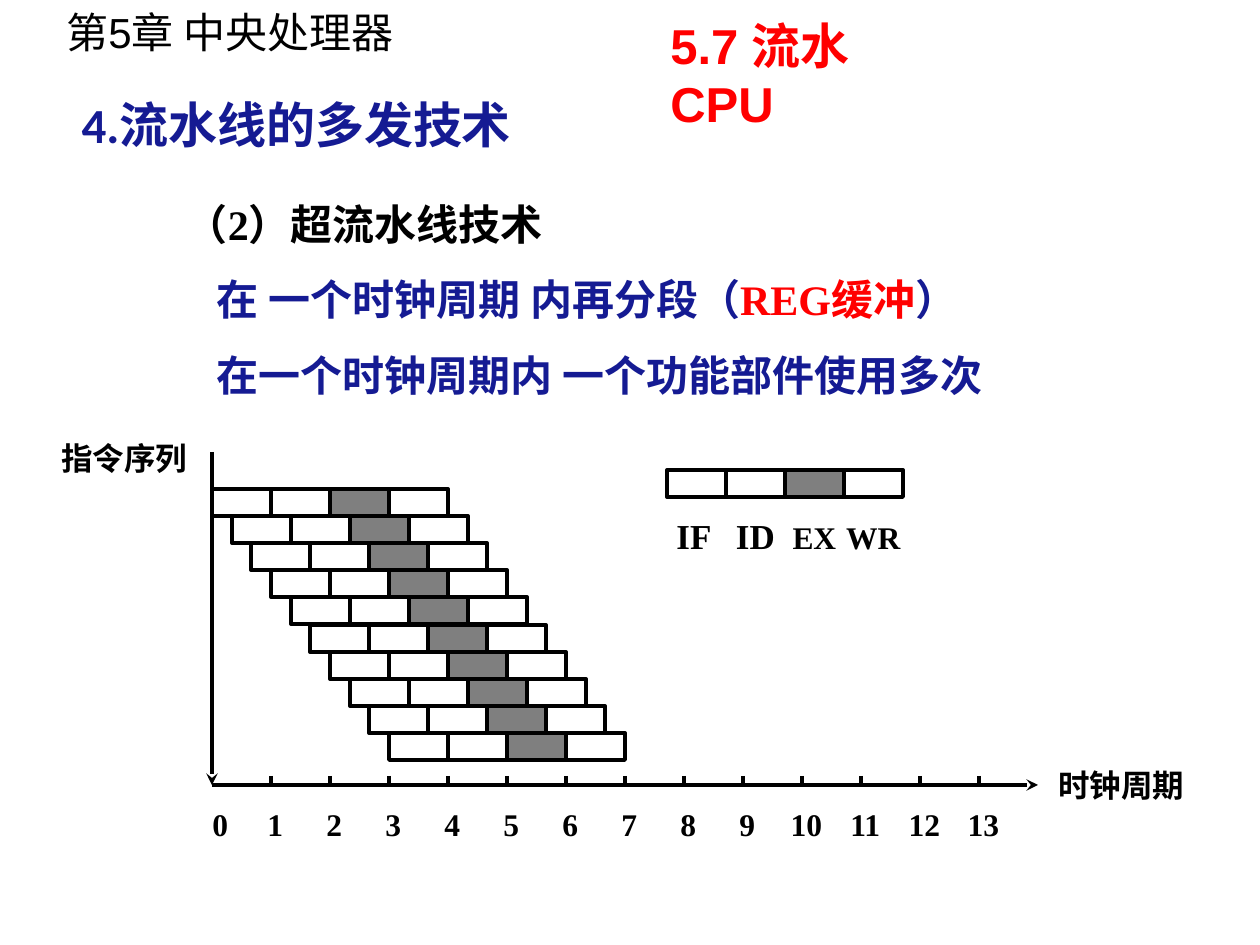
"""Build the slide on superpipelining, with its instruction timing chart."""
from lxml.etree import SubElement
from pptx import Presentation
from pptx.dml.color import RGBColor
from pptx.enum.shapes import MSO_CONNECTOR, MSO_SHAPE
from pptx.enum.text import MSO_ANCHOR, MSO_AUTO_SIZE, PP_ALIGN
from pptx.oxml.ns import qn
from pptx.util import Inches, Pt

STRAIGHT = MSO_CONNECTOR.STRAIGHT
RECTANGLE = MSO_SHAPE.RECTANGLE
TOP, MIDDLE = MSO_ANCHOR.TOP, MSO_ANCHOR.MIDDLE
LEFT = PP_ALIGN.LEFT
NO_AUTOFIT = MSO_AUTO_SIZE.NONE

PX = 7257
THEME = {
    "black": RGBColor(0x00, 0x00, 0x00),
    "red": RGBColor(0xFF, 0x00, 0x00),
    "blue": RGBColor(0x15, 0x1B, 0x93),
    "heading": Pt(28),
    "text": Pt(24),
    "stage": Pt(20),
    "label": Pt(18),
    "line": Pt(2.25),
}
SERIF = "Times New Roman"

ORIGIN_X, AXIS_Y = 212, 785
CYCLE = 59
STAGE_HEIGHT = 27
INSTRUCTIONS = 10
FIRST_ROW, LAST_ROW = 489, 733
CYCLES = 13

prs = Presentation()
prs.slide_width, prs.slide_height = Inches(10), Inches(7.5)
slide = prs.slides.add_slide(prs.slide_layouts[1])
shapes = slide.shapes


def add_label(text, left, top, width, height, size="label", face=SERIF,
              color="black", bold=True, tabs=()):
    box = shapes.add_textbox(left * PX, top * PX, width * PX, height * PX)
    box.text_frame.word_wrap = True
    paragraph = box.text_frame.paragraphs[0]
    if tabs:
        stops = SubElement(paragraph._p.get_or_add_pPr(), qn("a:tabLst"))
        for stop in tabs:
            SubElement(stops, qn("a:tab"), pos=str(stop * PX), algn="ctr")
    paragraph.add_run().text = text
    font = paragraph.font
    font.name, font.size, font.bold = face, THEME[size], bold
    font.color.rgb = THEME[color]
    return paragraph


def add_line(x1, y1, x2, y2, arrow=False):
    line = shapes.add_connector(STRAIGHT, x1 * PX, y1 * PX, x2 * PX, y2 * PX)
    line.line.color.rgb = THEME["black"]
    line.line.width = THEME["line"]
    if arrow:
        SubElement(line.line._get_or_add_ln(), qn("a:tailEnd"), type="stealth")
    SubElement(line._element.spPr, qn("a:effectLst"))


add_label("第5章 中央处理器", 54, 0, 507, 63, "text", "Arial", bold=False)
add_label("5.7 流水CPU", 658, 9, 305, 130, "heading", "Arial", "red")

title = shapes.title
title.left, title.top, title.width, title.height = 69 * PX, 88 * PX, 490 * PX, 72 * PX
title.text_frame.text = "4.流水线的多发技术"
title.text_frame.auto_size = NO_AUTOFIT
title.text_frame.vertical_anchor = TOP
heading = title.text_frame.paragraphs[0]
heading.alignment = LEFT
heading.font.name, heading.font.size, heading.font.bold = "Calibri", THEME["heading"], True
heading.font.color.rgb = THEME["blue"]

body = slide.placeholders[1]
body.left, body.top, body.width, body.height = 186 * PX, 168 * PX, 896 * PX, 237 * PX
points = body.text_frame
points.auto_size = NO_AUTOFIT
points.vertical_anchor = MIDDLE
points.margin_left = points.margin_right = 0
statements = [
    (0, [("（2）超流水线技术", "black")]),
    (31, [("在 一个时钟周期 内再分段（", "blue"), ("REG缓冲", "red"), ("）", "blue")]),
    (31, [("在一个时钟周期内 一个功能部件使用多次", "blue")]),
]
for index, (indent, phrases) in enumerate(statements):
    point = points.add_paragraph() if index else points.paragraphs[0]
    properties = point._p.get_or_add_pPr()
    properties.set("marL", str(indent * PX))
    properties.set("indent", "0")
    SubElement(properties, qn("a:buNone"))
    point.line_spacing = 1.5
    point.space_before = Pt(0)
    point.font.name, point.font.size, point.font.bold = SERIF, THEME["text"], True
    for text, color in phrases:
        phrase = point.add_run()
        phrase.text = text
        phrase.font.color.rgb = THEME[color]

row_span = LAST_ROW - FIRST_ROW
pipelines = [
    (ORIGIN_X + round(row * CYCLE / 3), FIRST_ROW + round(row * row_span / (INSTRUCTIONS - 1)))
    for row in range(INSTRUCTIONS)
]
legend = (667, 470)
for left, top in pipelines + [legend]:
    for stage in ("IF", "ID", "EX", "WR"):
        cell = shapes.add_shape(RECTANGLE, left * PX, top * PX, CYCLE * PX, STAGE_HEIGHT * PX)
        cell.shadow.inherit = False
        cell.line.color.rgb = THEME["black"]
        cell.line.width = THEME["line"]
        if stage == "EX":
            cell.fill.solid()
            cell.fill.fore_color.rgb = THEME["black"]
            tint = cell._element.spPr.find(qn("a:solidFill"))[0]
            SubElement(tint, qn("a:alpha"), val="50000")
        else:
            cell.fill.background()
        left += CYCLE

stages = add_label("IF\tID\t", 664, 508, 270, 54, "stage",
                   tabs=[CYCLE * step + 20 for step in range(1, 4)])
late_stages = stages.add_run()
late_stages.text = "EX\tWR"
late_stages.font.size = THEME["label"]

add_line(ORIGIN_X, 452, ORIGIN_X, AXIS_Y, arrow=True)
add_line(ORIGIN_X, AXIS_Y, 1038, AXIS_Y, arrow=True)
for cycle in range(1, CYCLES + 1):
    tick = ORIGIN_X + cycle * CYCLE
    add_line(tick, AXIS_Y - 9, tick, AXIS_Y)

add_label("\t".join(str(cycle) for cycle in range(CYCLES + 1)), 200, 799, 820, 50,
          tabs=[CYCLE * cycle + 4 for cycle in range(1, CYCLES + 1)])
add_label("时钟周期", 1046, 760, 180, 50)
add_label("指令序列", 49, 433, 180, 50)

prs.save("out.pptx")
